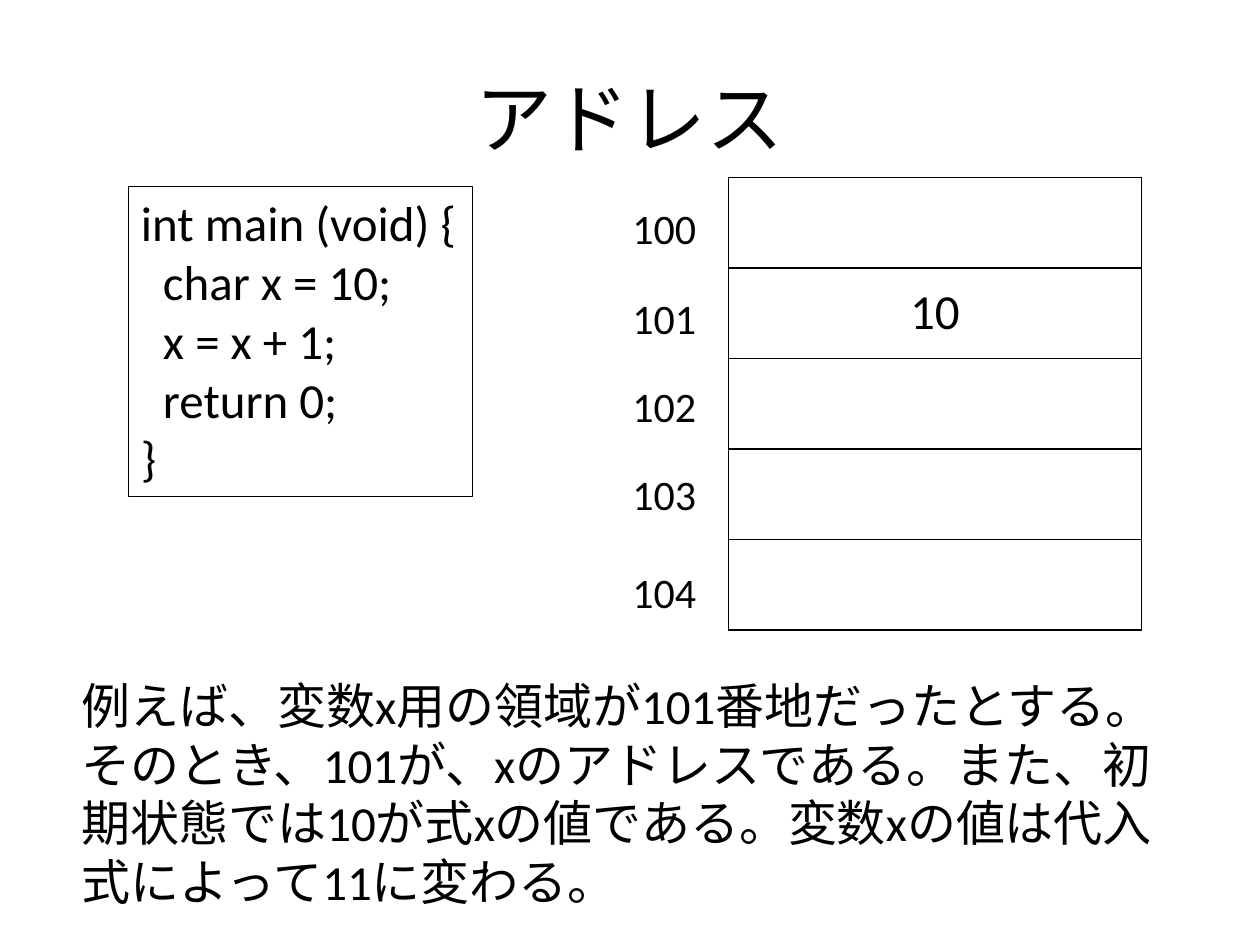
from lxml import etree
from pptx import Presentation
from pptx.dml.color import RGBColor
from pptx.enum.text import MSO_ANCHOR, PP_ALIGN
from pptx.oxml.ns import qn
from pptx.util import Inches, Pt

CENTER = PP_ALIGN.CENTER
MIDDLE = MSO_ANCHOR.MIDDLE
COLORS = {"ink": "000000"}
INK = RGBColor.from_string(COLORS["ink"])
FONT = "Calibri"


def format_text(frame, size, align=PP_ALIGN.LEFT):
    for paragraph in frame.paragraphs:
        paragraph.alignment = align
        for run in paragraph.runs:
            run.font.size = Pt(size)
            run.font.name = FONT
            run.font.color.rgb = INK


def add_text(slide, text, left, top, width, height, size, wrap):
    box = slide.shapes.add_textbox(Inches(left), Inches(top), Inches(width), Inches(height))
    box.text_frame.word_wrap = wrap
    box.text_frame.text = text
    format_text(box.text_frame, size)
    return box


prs = Presentation()
prs.slide_width = Inches(10)
prs.slide_height = Inches(7.5)
slide = prs.slides.add_slide(prs.slide_layouts[5])

# Title
title = slide.shapes.title
title.left, title.top = Inches(0.5), Inches(0.3)
title.width, title.height = Inches(9), Inches(1.25)
title.text_frame.text = "アドレス"
title.text_frame.vertical_anchor = MIDDLE
format_text(title.text_frame, 44, CENTER)

# Program listing
code = """int main (void) {
  char x = 10;
  x = x + 1;
  return 0;
}"""
listing = add_text(slide, code, 1.02, 1.48, 2.73, 2.46, 28, False)
listing.line.color.rgb = INK
listing.line.width = Pt(0.75)

# Explanation
explanation = (
    "例えば、変数x用の領域が101番地だったとする。\n"
    "そのとき、101が、xのアドレスである。また、初期状態では10が式xの値である。"
    "変数xの値は代入式によって11に変わる。"
)
add_text(slide, explanation, 0.55, 5.31, 9.06, 1.99, 28, True)

# Memory cells
memory_values = ["", "10", "", "", ""]
memory = slide.shapes.add_table(
    len(memory_values), 1, Inches(5.78), Inches(1.41), Inches(3.28), Inches(3.59)
).table
memory.first_row = False
memory.horz_banding = False
for row, value in enumerate(memory_values):
    cell = memory.cell(row, 0)
    cell.text_frame.text = value
    cell.vertical_anchor = MIDDLE
    format_text(cell.text_frame, 28, CENTER)
    properties = cell._tc.get_or_add_tcPr()
    for side in ("a:lnL", "a:lnR", "a:lnT", "a:lnB"):
        border = etree.SubElement(properties, qn(side), w=str(Pt(1)))
        fill = etree.SubElement(border, qn("a:solidFill"))
        etree.SubElement(fill, qn("a:srgbClr"), val=COLORS["ink"])
    cell.fill.background()

# Memory addresses
address_tops = [1.56, 2.27, 2.97, 3.67, 4.45]
for address, top in enumerate(address_tops, start=100):
    add_text(slide, str(address), 4.92, top, 0.71, 0.5, 24, False)

prs.save("out.pptx")
